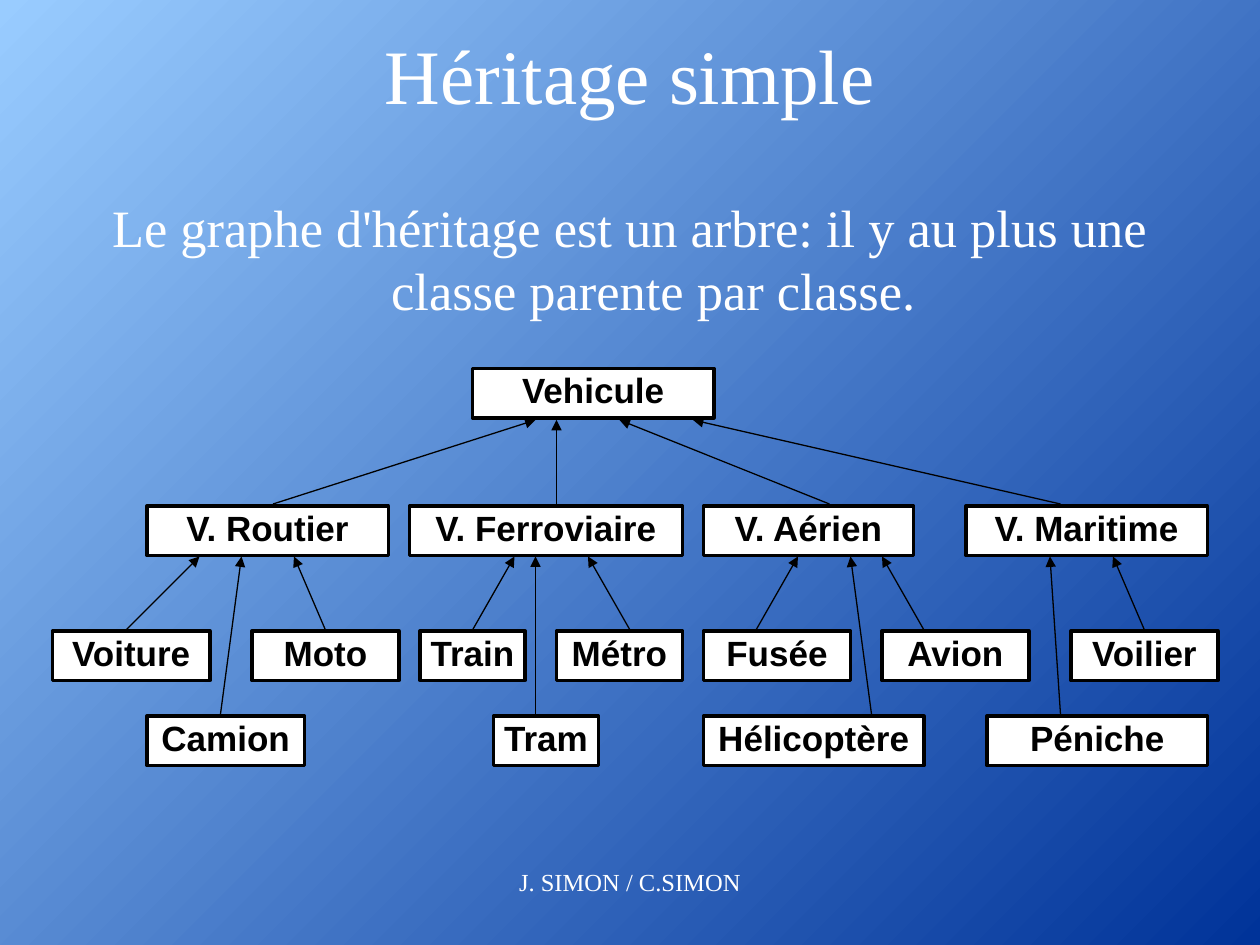
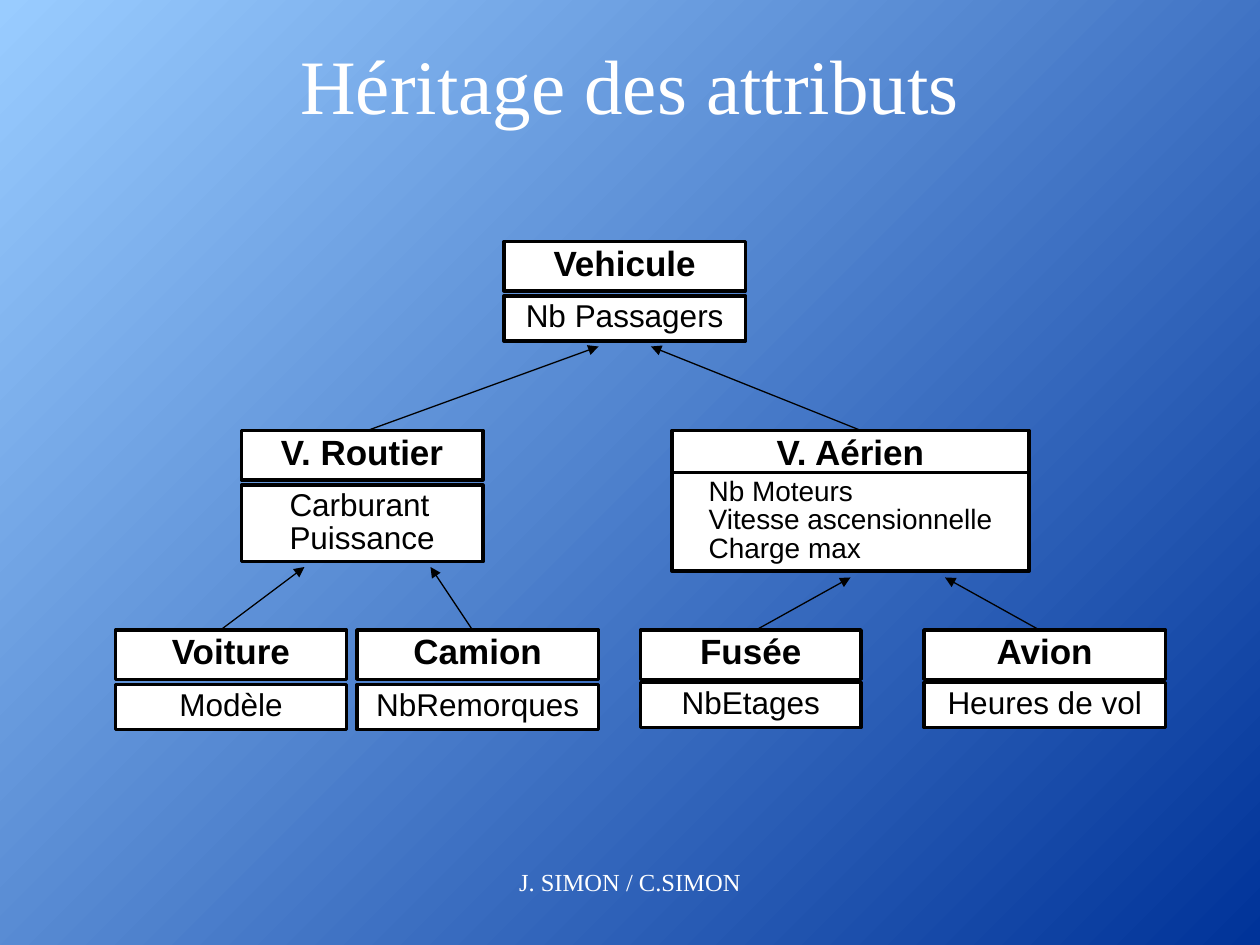
from dataclasses import dataclass

from lxml import etree
from pptx import Presentation
from pptx.dml.color import RGBColor
from pptx.enum import shapes, text
from pptx.oxml import ns
from pptx.util import Pt

FOOTER = "J. SIMON / C.SIMON"

TREE_TITLE = "Héritage simple"
TREE_TEXT = "Le graphe d'héritage est un arbre: il y au plus une classe parente par classe."
TREE_ROWS = [
    {"top": 351, "arrow": None, "classes": [("Vehicule", 450, 230, None, None)]},
    {"top": 482, "arrow": (480, 400), "classes": [
        ("V. Routier", 140, 230, 260, 510),
        ("V. Ferroviaire", 390, 260, 530, 530),
        ("V. Aérien", 670, 200, 790, 590),
        ("V. Maritime", 920, 230, 1010, 660)]},
    {"top": 601, "arrow": (600, 530), "classes": [
        ("Voiture", 50, 150, 120, 190),
        ("Moto", 240, 140, 310, 280),
        ("Train", 400, 100, 450, 490),
        ("Métro", 530, 120, 600, 560),
        ("Fusée", 670, 140, 720, 760),
        ("Avion", 840, 140, 880, 840),
        ("Voilier", 1020, 140, 1090, 1060)]},
    {"top": 682, "arrow": (680, 530), "classes": [
        ("Camion", 140, 150, 210, 230),
        ("Tram", 470, 100, 510, 510),
        ("Hélicoptère", 670, 210, 830, 810),
        ("Péniche", 940, 210, 1010, 1000)]},
]

ATTRIBUTES_TITLE = "Héritage des attributs"
ATTRIBUTE_CLASSES = [
    ("Vehicule", ["Nb Passagers"], 480, 230, 230, 52, 43, 18),
    ("V. Routier", ["Carburant", "Puissance"], 230, 410, 230, 52, 73, 18),
    ("V. Aérien", ["Nb Moteurs", "Vitesse ascensionnelle", "Charge max"],
     640, 410, 340, 40, 94, 16),
    ("Voiture", ["Modèle"], 110, 600, 220, 52, 43, 18),
    ("Camion", ["NbRemorques"], 340, 600, 230, 52, 43, 18),
    ("Fusée", ["NbEtages"], 610, 600, 210, 50, 43, 18),
    ("Avion", ["Heures de vol"], 880, 600, 230, 50, 43, 18),
]
ATTRIBUTE_ARROWS = [
    (210, 600, 290, 540), (450, 600, 410, 540),
    (720, 600, 810, 550), (990, 600, 900, 550),
    (350, 410, 570, 330), (820, 410, 620, 330),
]


@dataclass(frozen=True)
class Theme:
    dark: RGBColor = RGBColor.from_string("003399")
    light: RGBColor = RGBColor.from_string("99CCFF")
    white: RGBColor = RGBColor.from_string("FFFFFF")
    black: RGBColor = RGBColor.from_string("000000")
    serif: str = "Times New Roman"
    sans: str = "Arial"
    title: int = 44
    body: int = 30
    name: int = 20
    footer: int = 14
    box_line: float = 2
    arrow_line: float = 0.75


THEME = Theme()
NAME_HEIGHT = 47
SCALE = 7620


def px(*lengths):
    return [n * SCALE for n in lengths]


def write(tf, lines, size, font, color, bold=False):
    tf.text = "\n".join(lines)
    for p in tf.paragraphs:
        for r in p.runs:
            r.font.size = Pt(size)
            r.font.name = font
            r.font.bold = bold
            r.font.color.rgb = color


def add_label(slide, content, area, size, anchor=text.MSO_ANCHOR.TOP):
    tf = slide.shapes.add_textbox(*px(*area)).text_frame
    tf.word_wrap = True
    tf.vertical_anchor = anchor
    write(tf, [content], size, THEME.serif, THEME.white)
    p = tf.paragraphs[0]
    p.alignment = text.PP_ALIGN.CENTER
    return p


def add_box(slide, lines, area, size, bold=False, anchor=text.MSO_ANCHOR.TOP):
    sp = slide.shapes.add_shape(shapes.MSO_SHAPE.RECTANGLE, *px(*area))
    sp.shadow.inherit = False
    sp.fill.solid()
    sp.fill.fore_color.rgb = THEME.white
    sp.line.color.rgb = THEME.black
    sp.line.width = Pt(THEME.box_line)
    tf = sp.text_frame
    tf.word_wrap = False
    tf.vertical_anchor = anchor
    tf._txBody.bodyPr.set("anchorCtr", "1")
    write(tf, lines, size, THEME.sans, THEME.black, bold)
    for p in tf.paragraphs:
        p.alignment = text.PP_ALIGN.LEFT
        p.line_spacing = 0.85


def add_arrow(slide, *ends):
    line = slide.shapes.add_connector(shapes.MSO_CONNECTOR.STRAIGHT, *px(*ends))
    line.line.color.rgb = THEME.black
    line.line.width = Pt(THEME.arrow_line)
    etree.SubElement(line.line._get_or_add_ln(), ns.qn("a:tailEnd"), type="triangle")
    etree.SubElement(line._element.spPr, ns.qn("a:effectLst"))


def add_slide(prs, title, anchor):
    slide = prs.slides.add_slide(prs.slide_layouts[6])
    add_label(slide, title, (90, 30, 1020, 80), THEME.title, anchor)
    add_label(slide, FOOTER, (360, 820, 480, 60), THEME.footer)
    return slide


def build_tree(prs):
    slide = add_slide(prs, TREE_TITLE, text.MSO_ANCHOR.MIDDLE)
    p = add_label(slide, TREE_TEXT, (90, 180, 1020, 620), THEME.body)
    p.space_before = Pt(7.5)
    hanging = 45 * SCALE
    pPr = p._p.get_or_add_pPr()
    pPr.set("marL", str(hanging))
    pPr.set("indent", str(-hanging))
    for row in TREE_ROWS:
        for name, left, width, start_x, end_x in row["classes"]:
            add_box(slide, [name], (left, row["top"], width, NAME_HEIGHT),
                    THEME.name, True, text.MSO_ANCHOR.MIDDLE)
            if row["arrow"]:
                start_y, end_y = row["arrow"]
                add_arrow(slide, start_x, start_y, end_x, end_y)


def build_attributes(prs):
    slide = add_slide(prs, ATTRIBUTES_TITLE, text.MSO_ANCHOR.TOP)
    for ends in ATTRIBUTE_ARROWS:
        add_arrow(slide, *ends)
    for name, attributes, left, top, width, offset, height, size in ATTRIBUTE_CLASSES:
        add_box(slide, [name], (left, top, width, NAME_HEIGHT), THEME.name, True)
        add_box(slide, attributes, (left, top + offset, width, height), size)


def main():
    prs = Presentation()
    prs.slide_width, prs.slide_height = px(1200, 900)
    fill = prs.slide_master.background.fill
    fill.gradient()
    fill.gradient_angle = 135
    for stop, color in zip(fill.gradient_stops, (THEME.dark, THEME.light)):
        stop.color.rgb = color
    build_tree(prs)
    build_attributes(prs)
    prs.save("out.pptx")


if __name__ == "__main__":
    main()
